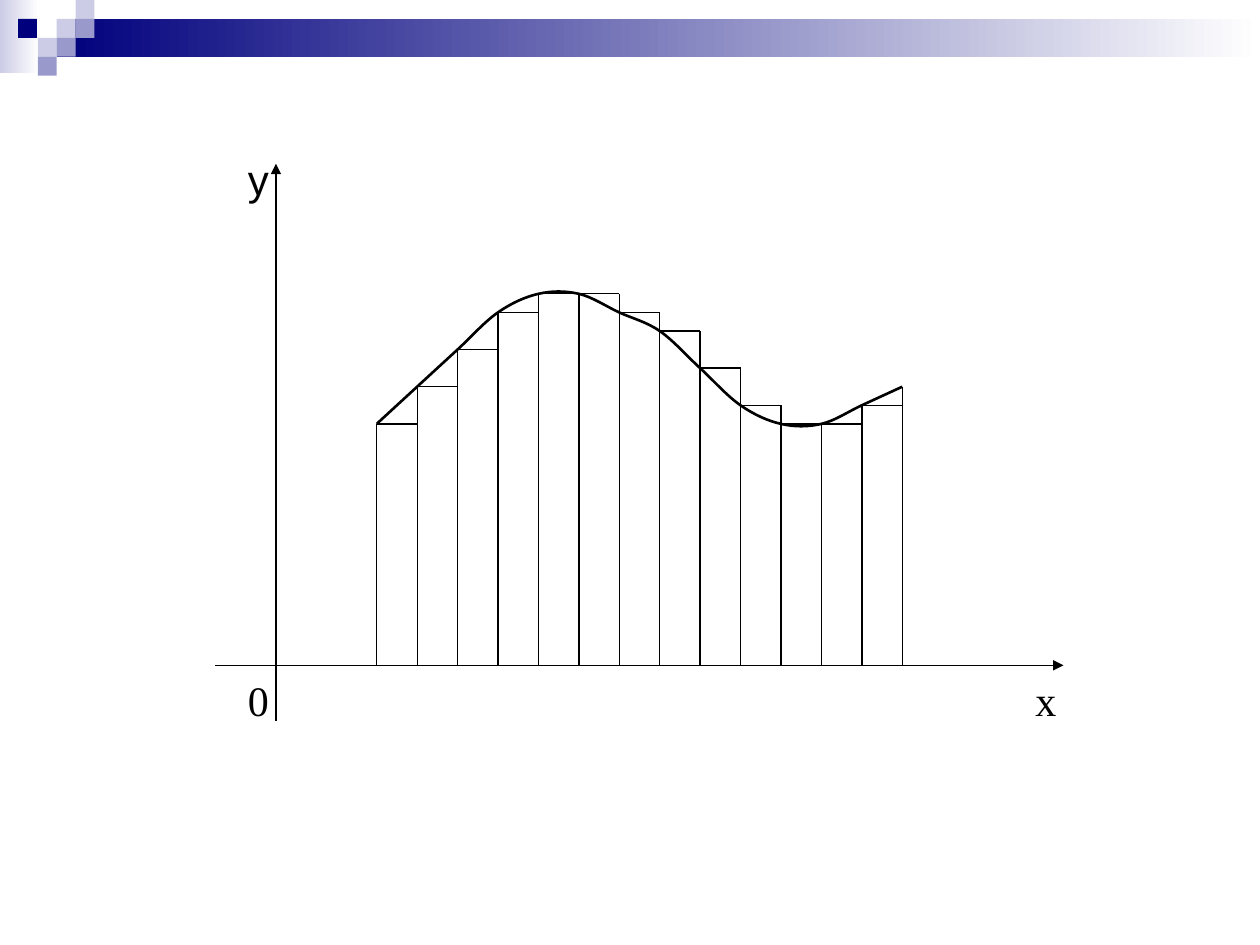
import pptx
import pptx.util
import pptx.dml.color
import pptx.enum.shapes
import pptx.enum.text
import pptx.oxml
import pptx.oxml.ns

Pt = pptx.util.Pt
RGB = pptx.dml.color.RGBColor.from_string
RECTANGLE = pptx.enum.shapes.MSO_SHAPE.RECTANGLE
COLORS = {"navy": "00007D", "mid": "9999CC", "pale": "CCCCE6", "white": "FFFFFF", "ink": "000000"}

presentation = pptx.Presentation()
presentation.slide_width = Pt(720)
presentation.slide_height = Pt(540)
slide = presentation.slides.add_slide(presentation.slide_layouts[6])


def add_rectangle(left, top, width, height, color, fade_to=None):
    rectangle = slide.shapes.add_shape(RECTANGLE, Pt(left), Pt(top), Pt(width), Pt(height))
    rectangle.shadow.inherit = False
    rectangle.line.fill.background()
    if fade_to:
        rectangle.fill.gradient()
        rectangle.fill.gradient_angle = 0
        for stop, name, position in zip(rectangle.fill.gradient_stops, (color, fade_to), (0, 1)):
            stop.color.rgb = RGB(COLORS[name])
            stop.position = position
    else:
        rectangle.fill.solid()
        rectangle.fill.fore_color.rgb = RGB(COLORS[color])
    return rectangle


def add_line(x1, y1, x2, y2, arrow=False):
    line = slide.shapes.add_connector(
        pptx.enum.shapes.MSO_CONNECTOR.STRAIGHT, Pt(x1), Pt(y1), Pt(x2), Pt(y2))
    line.line.color.rgb = RGB(COLORS["ink"])
    line.line.width = Pt(0.75)
    properties = line._element.spPr
    if arrow:
        outline = line.line._get_or_add_ln()
        outline.append(pptx.oxml.parse_xml(
            f'<a:tailEnd {pptx.oxml.ns.nsdecls("a")} type="triangle"/>'))
    properties.append(pptx.oxml.parse_xml(f'<a:effectLst {pptx.oxml.ns.nsdecls("a")}/>'))


add_rectangle(0, 0, 22.3, 41.8, "pale", "white")
add_rectangle(32.4, 10.8, 687.6, 21.6, "navy", "white")
tile = 10.8
for left, row, color in [
    (32.4, 1, "pale"), (43.2, 0, "pale"), (43.2, 1, "mid"), (21.6, 2, "pale"),
    (10.3, 1, "navy"), (32.4, 2, "mid"), (21.6, 3, "mid"),
]:
    add_rectangle(left, row * tile, tile, tile, color)

baseline = 380.2
for name, left, top, width, height, font in [
    ("0", 134.6, baseline, 34.6, 31.7, "Times New Roman"),
    ("x", 584.6, baseline, 33.8, 34.6, "Times New Roman"),
    ("y", 134.6, 82.8, 34.6, 31.7, "Arial"),
]:
    axis_label = add_rectangle(left, top, width, height, "white")
    axis_label.line.color.rgb = RGB(COLORS["white"])
    axis_label.line.width = Pt(0.75)
    frame = axis_label.text_frame
    frame.word_wrap = True
    frame.vertical_anchor = pptx.enum.text.MSO_ANCHOR.TOP
    frame.margin_top = Pt(5)
    paragraph = frame.paragraphs[0]
    paragraph.text = name
    paragraph.alignment = pptx.enum.text.PP_ALIGN.LEFT
    paragraph.font.name = font
    paragraph.font.size = Pt(24)
    paragraph.font.color.rgb = RGB(COLORS["ink"])

add_line(123.1, baseline, 607.7, baseline, arrow=True)
add_line(157.7, 411.8, 157.7, 93.6, arrow=True)

levels = [7, 5, 3, 1, 0, 0, 1, 2, 4, 6, 7, 7, 6, 5]
points = [(215.3 + 23.1 * i, 167.9 + 10.62 * level) for i, level in enumerate(levels)]

for i, (x, y) in enumerate(points):
    add_line(x, baseline, x, min(y, points[max(i - 1, 0)][1]))

padded = [points[0], *points, points[-1]]
controls = []
for before, start, end, after in zip(padded, padded[1:], padded[2:], padded[3:]):
    leaving = [s + (e - b) / 6 for b, s, e in zip(before, start, end)]
    arriving = [e - (a - s) / 6 for s, e, a in zip(start, end, after)]
    controls += [leaving, arriving, end]
builder = slide.shapes.build_freeform(Pt(points[0][0]), Pt(points[0][1]))
builder.add_line_segments([(Pt(x), Pt(y)) for x, y in controls], close=False)
curve = builder.convert_to_shape()
curve.shadow.inherit = False
curve.fill.background()
curve.line.color.rgb = RGB(COLORS["ink"])
curve.line.width = Pt(1.5)
segments = curve._element.xpath(".//a:lnTo")
for trio in zip(segments[::3], segments[1::3], segments[2::3]):
    bezier = pptx.oxml.parse_xml(f'<a:cubicBezTo {pptx.oxml.ns.nsdecls("a")}/>')
    trio[0].addprevious(bezier)
    for segment in trio:
        bezier.append(segment[0])
        segment.getparent().remove(segment)

for (x, y), (next_x, _) in zip(points, points[1:]):
    add_line(x, y, next_x, y)

presentation.save("out.pptx")
